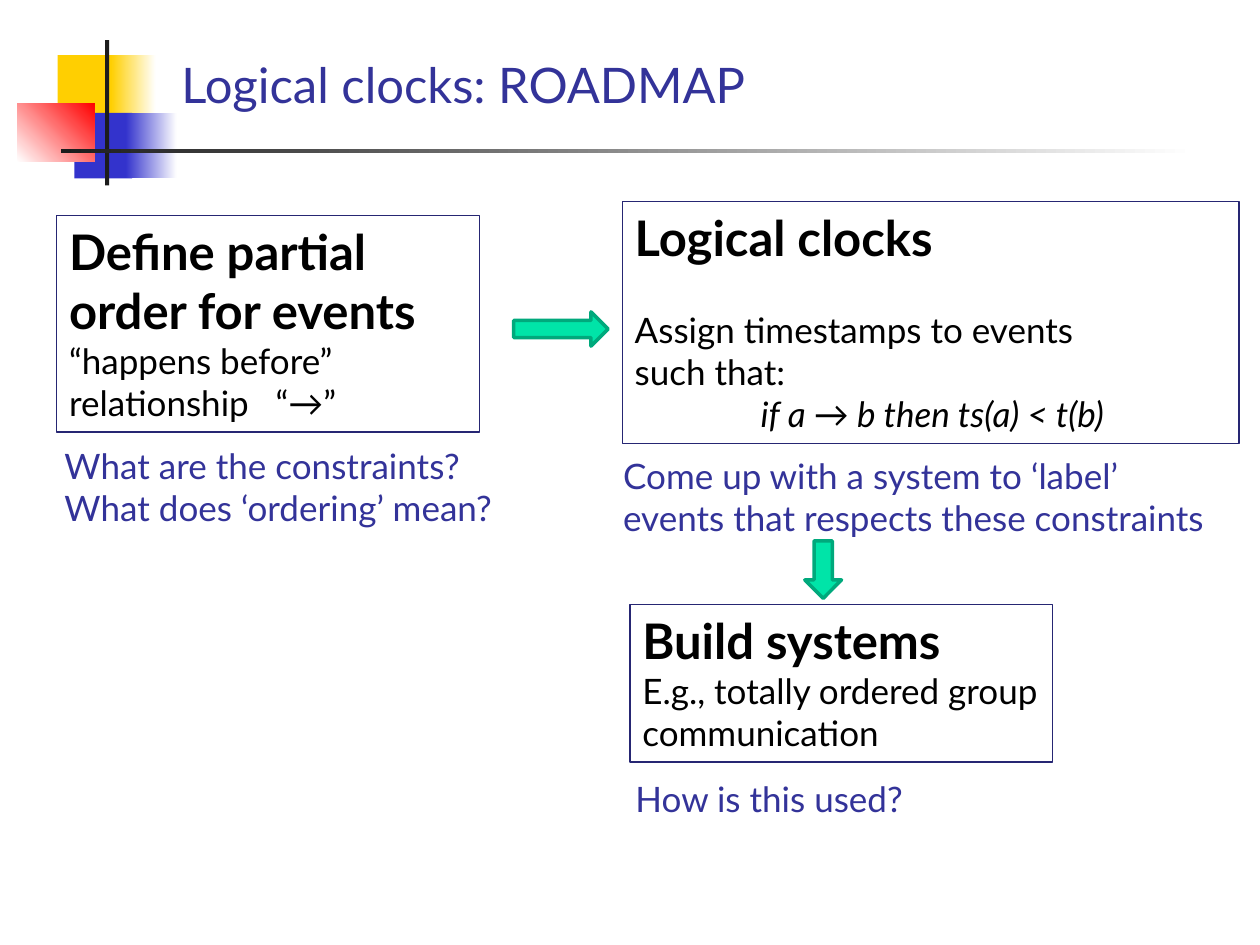
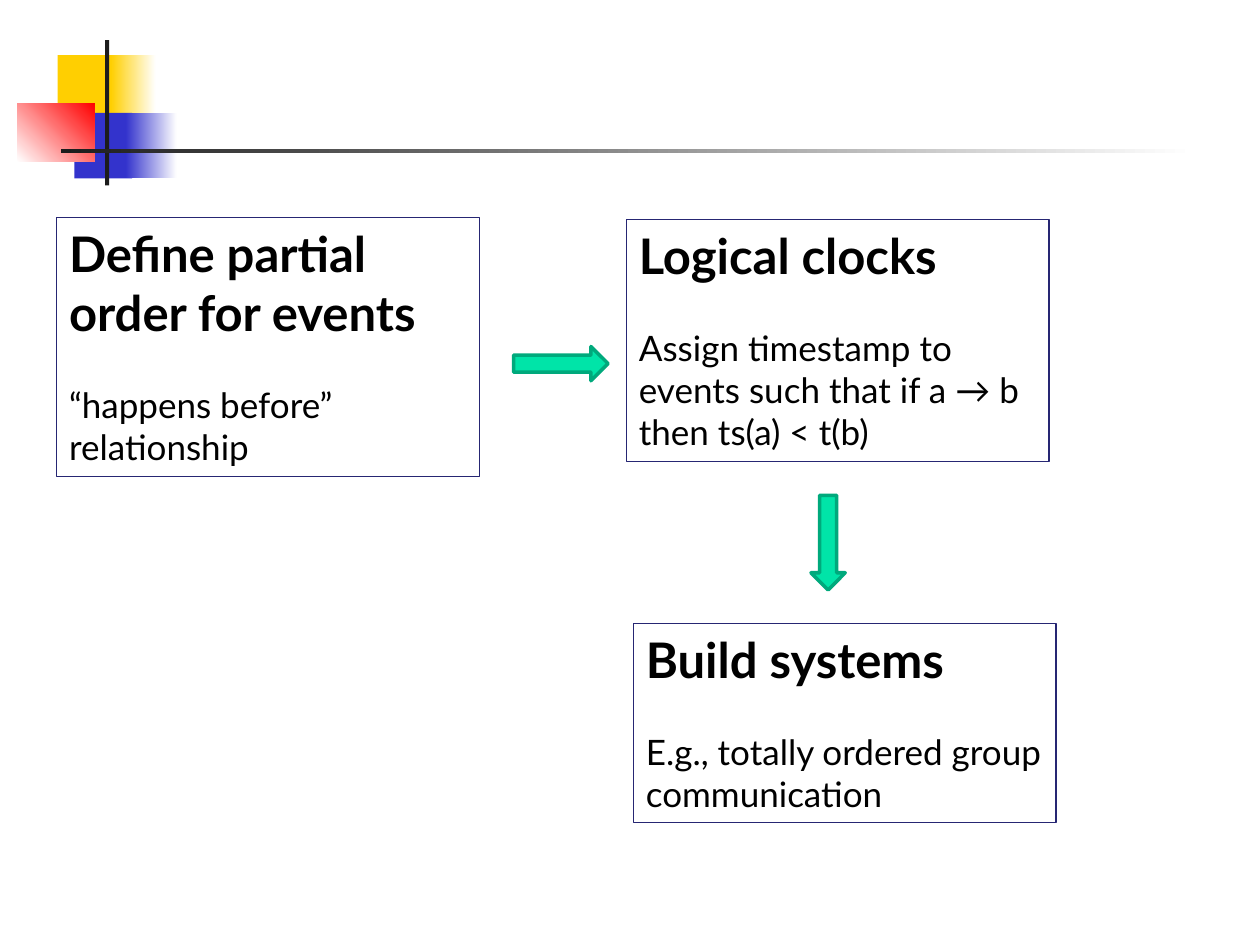
from lxml import etree
from pptx import Presentation
from pptx.dml.color import RGBColor
from pptx.enum.shapes import MSO_SHAPE
from pptx.enum.text import MSO_ANCHOR, PP_ALIGN
from pptx.oxml.ns import qn
from pptx.util import Pt

RECTANGLE, RIGHT_ARROW = MSO_SHAPE.RECTANGLE, MSO_SHAPE.RIGHT_ARROW
TOP, LEFT = MSO_ANCHOR.TOP, PP_ALIGN.LEFT
TITLE_ONLY, BLANK = 5, 6


def rgb(hex_string):
    return RGBColor.from_string(hex_string)


class Deck:
    FONT = "Lato"
    HEADING_SIZE, TEXT_SIZE = 28, 20
    BLACK, WHITE, INK = "000000", "FFFFFF", "1C1C1C"
    YELLOW, BLUE, RED = "FFCF01", "3333CC", "FF0000"
    TITLE, BORDER = "333399", "262673"
    ARROW, ARROW_EDGE = "00E4A8", "00A97C"

    def __init__(self):
        self.prs = Presentation()
        self.prs.slide_width, self.prs.slide_height = Pt(720), Pt(540)
        self.slide = None

    def new_slide(self, layout):
        self.slide = self.prs.slides.add_slide(self.prs.slide_layouts[layout])

    def shape(self, kind, place, fill=None, edge=None, edge_width=0.75):
        shape = self.slide.shapes.add_shape(kind, *map(Pt, place))
        shape.shadow.inherit = False
        if fill:
            shape.fill.solid()
            shape.fill.fore_color.rgb = rgb(fill)
        else:
            shape.fill.background()
        if edge:
            shape.line.color.rgb = rgb(edge)
            shape.line.width = Pt(edge_width)
        else:
            shape.line.fill.background()
        return shape

    def fade(self, place, start, end, angle=0):
        shape = self.shape(RECTANGLE, place)
        shape.fill.gradient()
        shape.fill.gradient_angle = angle
        for stop, color in zip(shape.fill.gradient_stops, (start, end)):
            stop.color.rgb = rgb(color)
        return shape

    def master_motif(self):
        """Draw the squares and rules once and move them to the master."""
        motif = [
            self.shape(RECTANGLE, (33, 31.5, 35, 37.5), self.YELLOW),
            self.fade((63.5, 31.5, 25.5, 37.5), self.YELLOW, self.WHITE),
            self.shape(RECTANGLE, (42.5, 64.5, 33, 37.5), self.BLUE),
            self.fade((72, 64.5, 29, 37.5), self.BLUE, self.WHITE),
            self.fade((10, 59, 44, 33.5), self.WHITE, self.RED, 45),
            self.shape(RECTANGLE, (60, 23, 2.4, 83), self.INK),
            self.fade((34.8, 85, 648, 2.3), self.INK, self.WHITE),
        ]
        tree = self.prs.slide_master.shapes.element
        for part in motif:
            tree.append(part.element)

    def style(self, paragraph, size, color, bold=False, italic=False):
        paragraph.alignment = LEFT
        font = paragraph.font
        font.name, font.size, font.color.rgb = self.FONT, Pt(size), rgb(color)
        font.bold, font.italic = bold, italic

    def title(self, text):
        title = self.slide.shapes.title
        title.left, title.top, title.width, title.height = map(Pt, (96.5, 27.4, 613.5, 50.4))
        title.text_frame.text = text
        title.text_frame.vertical_anchor = TOP
        self.style(title.text_frame.paragraphs[0], self.HEADING_SIZE, self.TITLE)

    def box(self, place, heading, *details, gap=0, tab=None):
        """Framed step: bold heading, then detail lines after a gap."""
        frame = self.shape(RECTANGLE, place, edge=self.BORDER).text_frame
        frame.word_wrap, frame.vertical_anchor = True, TOP
        frame.text = "\n".join((heading, *details))
        first, *rest = frame.paragraphs
        self.style(first, self.HEADING_SIZE, self.BLACK, bold=True)
        rest[0].space_before = Pt(gap)
        for paragraph in rest:
            if tab:
                tabs = etree.SubElement(paragraph._p.get_or_add_pPr(), qn("a:tabLst"))
                etree.SubElement(tabs, qn("a:tab"), pos=str(Pt(tab)), algn="l")
            self.style(paragraph, self.TEXT_SIZE, self.BLACK)
        return rest

    def formula(self, paragraph):
        """Indent a detail line and set it in italics."""
        paragraph._p.get_or_add_pPr().set("marL", str(Pt(72)))
        paragraph.font.italic = True

    def arrow(self, place, rotation=0):
        self.shape(RIGHT_ARROW, place, self.ARROW, self.ARROW_EDGE, 2).rotation = rotation

    def question(self, place, *lines):
        frame = self.slide.shapes.add_textbox(*map(Pt, place)).text_frame
        frame.word_wrap = True
        frame.text = "\n".join(lines)
        for paragraph in frame.paragraphs:
            self.style(paragraph, self.TEXT_SIZE, self.TITLE)


ORDER, CLOCKS, SYSTEMS = "Define partial order for events", "Logical clocks", "Build systems"
EXAMPLE = "E.g., totally ordered group communication"
BOX_WIDTH, LINE_GAP = 241.5, 24


def roadmap(deck):
    deck.title("Logical clocks: ROADMAP")

    # Steps
    deck.box((32.4, 123, BOX_WIDTH, 124), ORDER,
             "“happens before” relationship\t“→”", tab=118)
    clock_lines = deck.box((355.6, 115, 352.4, 138.3), CLOCKS, "Assign timestamps to events",
                           "such that:", "if a → b then ts(a) < t(b)", gap=LINE_GAP)
    deck.formula(clock_lines[-1])
    deck.box((360, 345.4, BOX_WIDTH, 90), SYSTEMS, EXAMPLE)

    # Arrows between steps
    deck.arrow((293.5, 178.2, 54, 19.6))
    deck.arrow((454, 315, 32.8, 21), 90)

    # Questions under each step
    deck.question((29.8, 250.4, 263.5, 55.7),
                  "What are the constraints?", "What does ‘ordering’ mean?")
    deck.question((349, 256, 349, 55.7),
                  "Come up with a system to ‘label’ events that respects these constraints")
    deck.question((356, 440.6, 323, 31.5), "How is this used?")


def summary(deck):
    # Steps
    deck.box((32.4, 124.3, BOX_WIDTH, 148), ORDER,
             "“happens before” relationship", gap=LINE_GAP)
    deck.box((358, 125.5, BOX_WIDTH, 138.3), CLOCKS,
             "Assign timestamp to events such that if a → b then ts(a) < t(b)", gap=LINE_GAP)
    deck.box((362, 356.4, BOX_WIDTH, 113.6), SYSTEMS, EXAMPLE, gap=LINE_GAP)

    # Arrows between steps
    deck.arrow((293.5, 198, 54, 19.6))
    deck.arrow((446.2, 300.3, 54, 19.6), 90)


def main():
    deck = Deck()
    deck.new_slide(TITLE_ONLY)
    deck.master_motif()
    roadmap(deck)
    deck.new_slide(BLANK)
    summary(deck)
    deck.prs.save("out.pptx")


if __name__ == "__main__":
    main()
